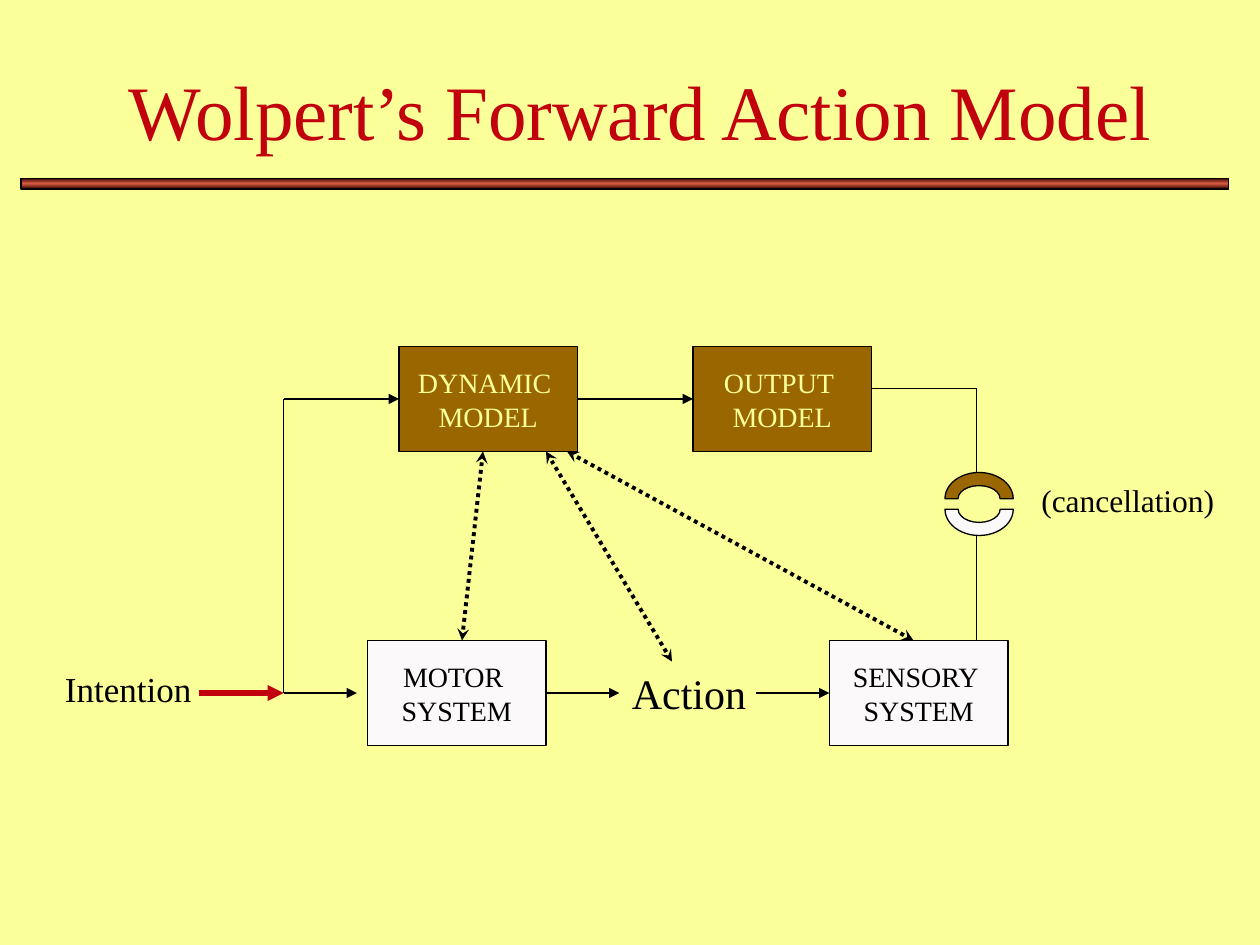
from pptx import Presentation
from pptx.dml.color import RGBColor
from pptx.enum.dml import MSO_LINE
from pptx.enum.shapes import MSO_CONNECTOR, MSO_SHAPE
from pptx.enum.text import MSO_ANCHOR, MSO_AUTO_SIZE, PP_ALIGN
from pptx.oxml import parse_xml
from pptx.oxml.ns import nsdecls
from pptx.util import Pt
from lxml.etree import SubElement

FONT = "Times New Roman"
YELLOW, RED, BROWN, WHITE, BLACK = "FBFF9A", "C2010E", "996600", "FBF9F9", "000000"
DARK_RED = "1E0002"
BOX_WIDTH, BOX_HEIGHT = 102, 60
MODEL_TOP, SYSTEM_TOP = 198, 366
MODEL_ROW, SYSTEM_ROW = (top + BOX_HEIGHT / 2 for top in (MODEL_TOP, SYSTEM_TOP))
MODEL_BOTTOM = MODEL_TOP + BOX_HEIGHT
BRANCH, OUTPUT_ROW, CANCEL = 162, 222, 558  # bends of the lines around the boxes
ARC_TOP = 270

# name: text, left, top, fill, font colour
BOXES = {
    "motor": ("MOTOR \vSYSTEM", 210, SYSTEM_TOP, WHITE, BLACK),
    "sensory": ("SENSORY \vSYSTEM", 474, SYSTEM_TOP, WHITE, BLACK),
    "dynamic": ("DYNAMIC \vMODEL", 228, MODEL_TOP, BROWN, YELLOW),
    "output": ("OUTPUT \vMODEL", 396, MODEL_TOP, BROWN, YELLOW),
}
# text, left, top, width, height, size, wrap
LABELS = [
    ("Action", 354, 378, 80, 36, 24, False),
    ("Intention", 30, 378, 90, 32, 20, True),
    ("(cancellation)", 588, 271.5, 116, 29, 18, False),
]
# An end is a point or a (box, connection site) pair.
ARROWS = [
    ((BRANCH, SYSTEM_ROW), (204, SYSTEM_ROW)),
    (("motor", 3), (354, SYSTEM_ROW)),
    ((432, SYSTEM_ROW), ("sensory", 1)),
    ((BRANCH, MODEL_ROW), ("dynamic", 1)),
    (("dynamic", 3), ("output", 1)),
]
PLAIN_LINES = [
    ((BRANCH, SYSTEM_ROW), (BRANCH, MODEL_ROW)),
    ((498, OUTPUT_ROW), (CANCEL, OUTPUT_ROW)),
    ((CANCEL, OUTPUT_ROW), (CANCEL, ARC_TOP)),
    ((CANCEL, SYSTEM_TOP), (CANCEL, 306)),
]
DOTTED_ARROWS = [
    ((384, 378), (312, MODEL_BOTTOM)),
    ((522, SYSTEM_TOP), (324, MODEL_BOTTOM)),
    ((264, SYSTEM_TOP), (276, MODEL_BOTTOM)),
]


def rgb(color):
    return RGBColor.from_string(color)


def add_outlined(kind, left, top, width, height, fill=None):
    shape = slide.shapes.add_shape(kind, Pt(left), Pt(top), Pt(width), Pt(height))
    shape.shadow.inherit = False
    shape.line.color.rgb = rgb(BLACK)
    shape.line.width = Pt(0.75)
    if fill:
        shape.fill.solid()
        shape.fill.fore_color.rgb = rgb(fill)
    return shape


def set_text(shape, text, size, color, align, wrap):
    frame = shape.text_frame
    frame.word_wrap = wrap
    paragraph = frame.paragraphs[0]
    paragraph.text = text
    paragraph.alignment = align
    paragraph.font.name = FONT
    paragraph.font.size = Pt(size)
    paragraph.font.color.rgb = rgb(color)
    return frame


def add_label(text, left, top, width, height, size, wrap, color=BLACK, align=PP_ALIGN.LEFT):
    shape = slide.shapes.add_textbox(Pt(left), Pt(top), Pt(width), Pt(height))
    return set_text(shape, text, size, color, align, wrap)


def add_line(start, end, color=BLACK, width=0.75, dash=None, head=None, tail=None):
    """Draw a line, joining any end that names a box; head is at start, tail at end."""
    points = [(0, 0) if place[0] in boxes else place for place in (start, end)]
    line = slide.shapes.add_connector(
        MSO_CONNECTOR.STRAIGHT, *(Pt(value) for point in points for value in point))
    for place, connect in ((start, line.begin_connect), (end, line.end_connect)):
        if place[0] in boxes:
            connect(boxes[place[0]], place[1])
    line.line.color.rgb = rgb(color)
    line.line.width = Pt(width)
    if dash:
        line.line.dash_style = dash
    properties = line._element.spPr
    outline = line.line._get_or_add_ln()
    for tag, arrow in (("headEnd", head), ("tailEnd", tail)):
        if arrow:
            outline.append(parse_xml(f'<a:{tag} {nsdecls("a")} type="{arrow}"/>'))
    SubElement(properties, f"{{{properties.nsmap['a']}}}effectLst")


presentation = Presentation()
presentation.slide_width, presentation.slide_height = Pt(720), Pt(540)
slide = presentation.slides.add_slide(presentation.slide_layouts[6])
slide.background.fill.solid()
slide.background.fill.fore_color.rgb = rgb(YELLOW)

rule = add_outlined(MSO_SHAPE.RECTANGLE, 12, 102, 690, 6)
rule._element.spPr.insert(2, parse_xml(
    f'<a:gradFill {nsdecls("a")}><a:gsLst>'
    f'<a:gs pos="0"><a:srgbClr val="{DARK_RED}"/></a:gs>'
    f'<a:gs pos="50000"><a:srgbClr val="{RED}"><a:alpha val="63000"/></a:srgbClr></a:gs>'
    f'<a:gs pos="100000"><a:srgbClr val="{DARK_RED}"/></a:gs>'
    '</a:gsLst><a:lin ang="5400000" scaled="1"/></a:gradFill>'))

title = add_label("Wolpert’s Forward Action Model", 12, 12, 708, 102, 44, True, RED, PP_ALIGN.CENTER)
title.vertical_anchor = MSO_ANCHOR.MIDDLE

boxes = {}
for name, (text, left, top, fill, color) in BOXES.items():
    boxes[name] = add_outlined(MSO_SHAPE.RECTANGLE, left, top, BOX_WIDTH, BOX_HEIGHT, fill)
    frame = set_text(boxes[name], text, 16, color, PP_ALIGN.CENTER, False)
    frame.vertical_anchor = MSO_ANCHOR.MIDDLE

for label in LABELS:
    add_label(*label).auto_size = MSO_AUTO_SIZE.SHAPE_TO_FIT_TEXT

for start, end in PLAIN_LINES:
    add_line(start, end)
for start, end in ARROWS:
    add_line(start, end, tail="triangle")
for start, end in DOTTED_ARROWS:
    add_line(start, end, width=2.25, dash=MSO_LINE.ROUND_DOT, head="stealth", tail="stealth")
add_line((114, SYSTEM_ROW), (BRANCH, SYSTEM_ROW), RED, 3, tail="triangle")

for top, fill, rotation in ((ARC_TOP, BROWN, 0), (ARC_TOP + 6, WHITE, 180)):
    arc = add_outlined(MSO_SHAPE.BLOCK_ARC, 540, top, 39, 30, fill)
    arc.rotation = rotation

presentation.save("out.pptx")
